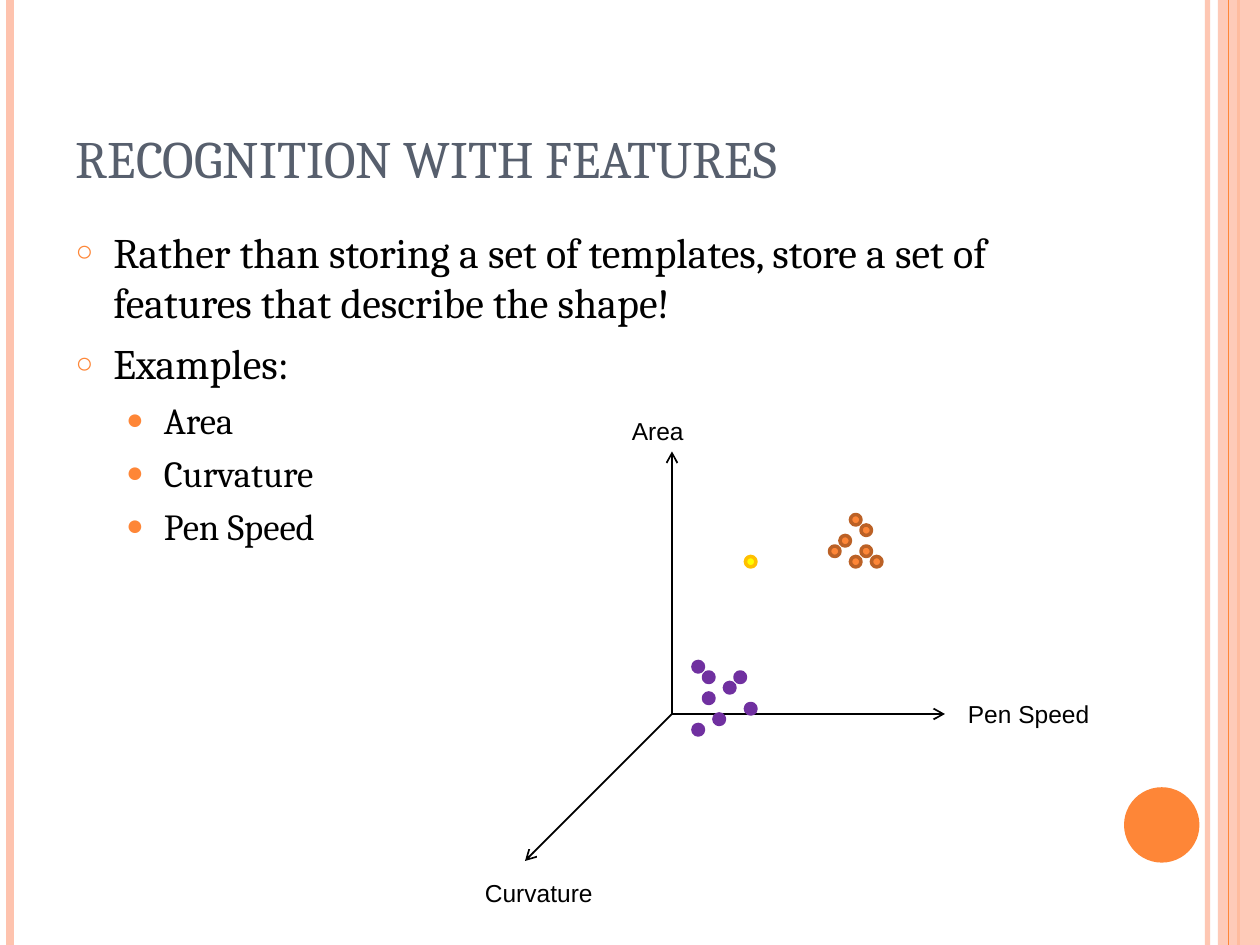
from dataclasses import dataclass

from lxml import etree
from pptx import Presentation
from pptx import util as u
from pptx.dml.color import RGBColor
from pptx.enum import shapes, text
from pptx.oxml import ns


@dataclass(frozen=True)
class Theme:
    serif: str = "Cambria"
    sans: str = "Arial"
    title: float = 30
    body: float = 24
    sub: float = 21
    label: float = 14
    slate: str = "575F6D"
    ink: str = "000000"
    accent: str = "FE8637"
    rust: str = "BB6126"
    peach: str = "FEC3AE"
    purple: str = "7030A0"
    yellow: str = "FFFF00"
    gold: str = "FFC000"


LOOK = Theme()
WIDE, HIGH = 25.4, 19.05
CELL = WIDE / 120


def rgb(code):
    return RGBColor.from_string(code)


def add(node, tag, **attrs):
    return etree.SubElement(node, ns.qn(tag), attrs)


def fade(node, share):
    for color in node.iter(ns.qn("a:srgbClr")):
        add(color, "a:alpha", val=str(share * 1000))


def style(font, face, size, color):
    font.name, font.size = face, u.Pt(size)
    font.color.rgb = rgb(color)


def rule(slide, start, end, color, width):
    line = slide.shapes.add_connector(
        shapes.MSO_CONNECTOR.STRAIGHT, *map(u.Cm, (*start, *end)))
    line.line.color.rgb = rgb(color)
    line.line.width = u.Pt(width)
    add(line._element.spPr, "a:effectLst")
    return line


def solid(slide, kind, box, fill, edge=None):
    shape = slide.shapes.add_shape(kind, *map(u.Cm, box))
    shape.shadow.inherit = False
    shape.fill.solid()
    shape.fill.fore_color.rgb = rgb(fill)
    if edge:
        shape.line.color.rgb = rgb(edge)
        shape.line.width = u.Pt(2)
    else:
        shape.line.fill.background()
    return shape


def place(holder, box):
    holder.left, holder.top, holder.width, holder.height = map(u.Cm, box)
    frame = holder.text_frame
    frame.auto_size = text.MSO_AUTO_SIZE.NONE
    return frame


def frame_page(slide, box):
    left, top, width, height = box
    right, base = left + width, top + height

    def stripe(x, color, size):
        return rule(slide, (x, top), (x, base), color, size)

    fade(stripe(right - 1.06, LOOK.peach, 3)._element, 93)
    stripe(left + 0.21, LOOK.peach, 4.5)
    stripe(right - 0.43, LOOK.accent, 1.5)
    band = solid(slide, shapes.MSO_SHAPE.RECTANGLE,
                 (right - 0.85, top, 0.85, height), LOOK.peach)
    fade(band._element, 87)
    stripe(right - 0.64, LOOK.accent, 0.75)
    solid(slide, shapes.MSO_SHAPE.OVAL,
          (right - 2.74, base - 3.18, 1.52, 1.52), LOOK.accent)


def head(slide, box, words):
    frame = place(slide.shapes.title, box)
    frame.vertical_anchor = text.MSO_ANCHOR.BOTTOM
    frame.text = words
    para = frame.paragraphs[0]
    para.alignment = text.PP_ALIGN.LEFT
    style(para.font, LOOK.serif, LOOK.title, LOOK.slate)


def bullets(slide, box, items):
    frame = place(slide.placeholders[1], box)
    frame.text = "\n".join(words for _, words in items)
    kinds = ((0.76, "○", 70, LOOK.body, 6), (1.78, "●", 80, LOOK.sub, 5.2))
    for rank, (para, (level, _)) in enumerate(zip(frame.paragraphs, items)):
        indent, mark, scale, size, gap = kinds[level]
        para.level = level
        props = para._p.get_or_add_pPr()
        props.set("marL", str(u.Cm(indent)))
        props.set("indent", str(u.Cm(-0.76)))
        add(add(props, "a:buClr"), "a:srgbClr", val=LOOK.accent)
        add(props, "a:buSzPct", val=str(scale * 1000))
        add(props, "a:buFont", typeface=LOOK.sans)
        add(props, "a:buChar", char=mark)
        para.space_before = u.Pt(gap if rank else 0)
        style(para.font, LOOK.serif, size, LOOK.ink)


def plot(slide, box, axes, groups):
    left, top, width, height = box
    zero = left + 19 * CELL, top + 29 * CELL

    def spot(col, row):
        return zero[0] + col * CELL, zero[1] + row * CELL

    for name, tip, corner, size in axes:
        axis = rule(slide, zero, spot(*tip), LOOK.ink, 1)
        add(axis.line._get_or_add_ln(), "a:tailEnd", type="arrow")
        label = slide.shapes.add_textbox(
            *map(u.Cm, (*spot(*corner), size, 0.86)))
        frame = label.text_frame
        frame.word_wrap = False
        frame.auto_size = text.MSO_AUTO_SIZE.SHAPE_TO_FIT_TEXT
        frame.text = name
        style(frame.paragraphs[0].font, LOOK.sans, LOOK.label, LOOK.ink)
    for fill, edge, dots in groups:
        for dot in dots:
            solid(slide, shapes.MSO_SHAPE.OVAL,
                  (*spot(*dot), CELL, CELL), fill, edge)


def main():
    deck = Presentation()
    deck.slide_width, deck.slide_height = u.Cm(WIDE), u.Cm(HIGH)
    slide = deck.slides.add_slide(deck.slide_layouts[1])
    frame_page(slide, (0, 0, WIDE, HIGH))
    head(slide, (1.27, 0.76, 20.75, 3.18), "RECOGNITION WITH FEATURES")
    bullets(slide, (1.27, 4.44, 20.75, 13.54), (
        (0, "Rather than storing a set of templates, store a set of "
            "features that describe the shape!"),
        (0, "Examples:"),
        (1, "Area"),
        (1, "Curvature"),
        (1, "Pen Speed"),
    ))
    axes = (
        ("Area", (0, -25), (-5, -29), 1.56),
        ("Pen Speed", (26, 0), (27, -2), 3),
        ("Curvature", (-14, 14), (-19, 15), 2.7),
    )
    groups = (
        (LOOK.accent, LOOK.rust, ((16, -17), (18, -16), (17, -15), (18, -18),
                                  (19, -15), (15, -16), (17, -19))),
        (LOOK.purple, LOOK.purple, ((3, -2), (3, -4), (5, -3), (6, -4),
                                    (7, -1), (4, 0), (2, -5), (2, 1))),
        (LOOK.yellow, LOOK.gold, ((7, -15),)),
    )
    plot(slide, (45 * CELL, 39 * CELL, 60 * CELL, 48 * CELL), axes, groups)
    deck.save("out.pptx")


if __name__ == "__main__":
    main()
